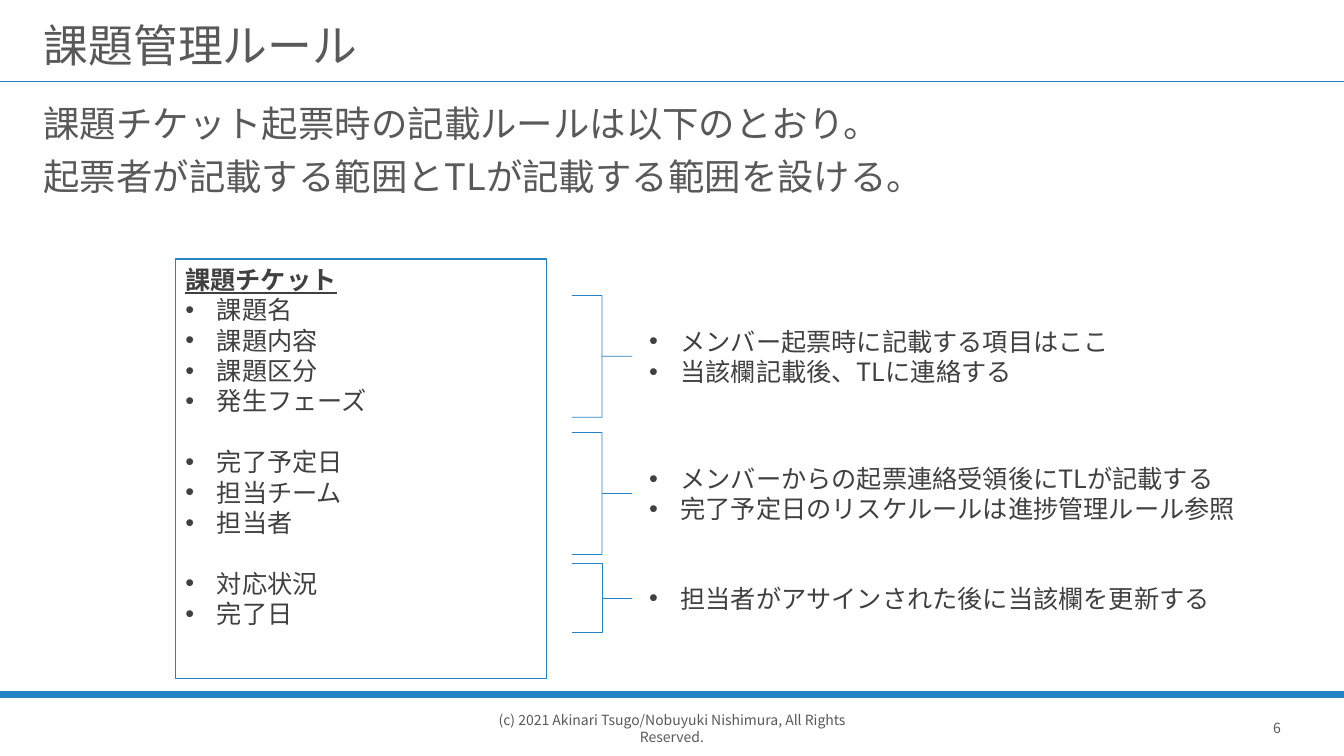
import dataclasses

import pptx
import pptx.dml.color
import pptx.enum.shapes
import pptx.enum.text
import pptx.oxml
import pptx.oxml.ns
import pptx.util

Pt = pptx.util.Pt
Align = pptx.enum.text.PP_ALIGN
Anchor = pptx.enum.text.MSO_ANCHOR
ShapeKind = pptx.enum.shapes.MSO_SHAPE


@dataclasses.dataclass(frozen=True)
class Theme:
    font: str = "Noto Sans CJK JP"
    blue: str = "2683C6"
    white: str = "FFFFFF"
    heading: str = "595959"
    text: str = "404040"
    title_size: float = 32
    lead_size: float = 26
    body_size: float = 18
    footer_size: float = 10
    lead_pitch: float = 28
    body_pitch: float = 21.7
    bullet_indent: float = 22.5


THEME = Theme()
WIDTH, HEIGHT = 960, 540
TICKET_GROUPS = [
    ["課題名", "課題内容", "課題区分", "発生フェーズ"],
    ["完了予定日", "担当チーム", "担当者"],
    ["対応状況", "完了日"],
]
# Top and height of each brace, with the notes beside it
RULES = [
    (211, 87, ["メンバー起票時に記載する項目はここ", "当該欄記載後、TLに連絡する"]),
    (309, 87, ["メンバーからの起票連絡受領後にTLが記載する",
               "完了予定日のリスケルールは進捗管理ルール参照"]),
    (402.5, 49.5, ["担当者がアサインされた後に当該欄を更新する"]),
]


def color(value):
    return pptx.dml.color.RGBColor.from_string(value)


def format_paragraph(paragraph, size, text_color, align=Align.LEFT, pitch=None):
    paragraph.alignment = align
    if pitch:
        paragraph.line_spacing = Pt(pitch)
    for run in paragraph.runs:
        run.font.size = Pt(size)
        run.font.name = THEME.font
        run.font.color.rgb = color(text_color)
        east_asian = pptx.oxml.parse_xml(
            f'<a:ea {pptx.oxml.ns.nsdecls("a")} typeface="{THEME.font}"/>')
        run.font._element.find(pptx.oxml.ns.qn("a:latin")).addnext(east_asian)


def add_bullet(paragraph):
    properties = paragraph._p.get_or_add_pPr()
    indent = Pt(THEME.bullet_indent)
    properties.set("marL", str(indent))
    properties.set("indent", str(-indent))
    namespace = pptx.oxml.ns.nsdecls("a")
    properties.append(pptx.oxml.parse_xml(f'<a:buFont {namespace} typeface="Arial"/>'))
    properties.append(pptx.oxml.parse_xml(f'<a:buChar {namespace} char="•"/>'))


def add_text(slide, box, lines, size, text_color, align=Align.LEFT,
             anchor=Anchor.TOP, pitch=None, wrap=True):
    shape = slide.shapes.add_textbox(*map(Pt, box))
    frame = shape.text_frame
    frame.word_wrap = wrap
    frame.vertical_anchor = anchor
    frame.text = "\n".join(lines)
    for paragraph in frame.paragraphs:
        format_paragraph(paragraph, size, text_color, align, pitch)
    return frame


def add_rule(slide, y, weight):
    line = slide.shapes.add_connector(
        pptx.enum.shapes.MSO_CONNECTOR.STRAIGHT, 0, Pt(y), Pt(WIDTH), Pt(y))
    line.line.color.rgb = color(THEME.blue)
    line.line.width = Pt(weight)
    line._element.spPr.append(
        pptx.oxml.parse_xml(f'<a:effectLst {pptx.oxml.ns.nsdecls("a")}/>'))


def add_header(slide, box):
    left, top, width, height = box
    title = slide.shapes.title
    title.left, title.top, title.width, title.height = map(Pt, box)
    frame = title.text_frame
    frame.auto_size = pptx.enum.text.MSO_AUTO_SIZE.NONE
    frame.vertical_anchor = Anchor.MIDDLE
    frame.margin_top = Pt(14.4)
    frame.text = "課題管理ルール"
    format_paragraph(frame.paragraphs[0], THEME.title_size, THEME.heading)
    frame.paragraphs[0].line_spacing = 0.9
    add_rule(slide, top + height + 4.3, 1)
    # Lead text under the rule
    lead = add_text(slide, (left, top + 67.7, width, 76),
                    ["課題チケット起票時の記載ルールは以下のとおり。",
                     "起票者が記載する範囲とTLが記載する範囲を設ける。"],
                    THEME.lead_size, THEME.heading, pitch=THEME.lead_pitch)
    lead.paragraphs[1].space_before = Pt(10)


def add_footer(slide, box):
    left, top, width, height = box
    add_rule(slide, top - 4.4, 4.5)
    copyright_text = "(c) 2021 Akinari Tsugo/Nobuyuki Nishimura, All Rights Reserved."
    for x, part_width, text in [(left + 332.7, 294.5, copyright_text),
                                (left + width - 71.5, 47.5, "6")]:
        add_text(slide, (x, top, part_width, height), [text], THEME.footer_size,
                 THEME.heading, Align.CENTER, Anchor.MIDDLE, wrap=False)


def add_ticket(slide, box):
    ticket = slide.shapes.add_shape(ShapeKind.RECTANGLE, *map(Pt, box))
    ticket.shadow.inherit = False
    ticket.fill.solid()
    ticket.fill.fore_color.rgb = color(THEME.white)
    ticket.line.color.rgb = color(THEME.blue)
    ticket.line.width = Pt(1)
    frame = ticket.text_frame
    frame.word_wrap = True
    frame.vertical_anchor = Anchor.TOP
    frame.text = "課題チケット"
    heading = frame.paragraphs[0]
    format_paragraph(heading, THEME.body_size, THEME.text, pitch=THEME.body_pitch)
    heading.runs[0].font.bold = True
    heading.runs[0].font.underline = True
    for group_index, group in enumerate(TICKET_GROUPS):
        for item_index, item in enumerate(group):
            paragraph = frame.add_paragraph()
            paragraph.text = item
            format_paragraph(paragraph, THEME.body_size, THEME.text,
                             pitch=THEME.body_pitch)
            if group_index and not item_index:
                paragraph.space_before = Pt(THEME.body_pitch)
            add_bullet(paragraph)


def add_brace_note(slide, box, notes):
    left, top, width, height = box
    brace_width, gap = 43, 5
    brace = slide.shapes.add_shape(
        ShapeKind.RIGHT_BRACE, Pt(left), Pt(top), Pt(brace_width), Pt(height))
    brace.adjustments[0] = 0
    brace.adjustments[1] = 0.5
    brace.shadow.inherit = False
    brace.fill.background()
    brace.line.color.rgb = color(THEME.blue)
    brace.line.width = Pt(0.5)
    # Notes centred on the brace tip
    note_height = len(notes) * THEME.body_pitch + 7.2
    note_left = left + brace_width + gap
    frame = add_text(
        slide, (note_left, top + (height - note_height) / 2,
                left + width - note_left, note_height),
        notes, THEME.body_size, THEME.text, anchor=Anchor.MIDDLE,
        pitch=THEME.body_pitch)
    for paragraph in frame.paragraphs:
        add_bullet(paragraph)


def build_ticket_slide(presentation):
    slide = presentation.slides.add_slide(presentation.slide_layouts[5])
    add_header(slide, (24, 4.3, 912, 49.7))
    add_ticket(slide, (125.3, 185, 265, 299.5))
    for top, height, notes in RULES:
        add_brace_note(slide, (408.5, top, 484.5, height), notes)
    add_footer(slide, (0, 500.5, WIDTH, 39.5))


def main():
    presentation = pptx.Presentation()
    presentation.slide_width = Pt(WIDTH)
    presentation.slide_height = Pt(HEIGHT)
    build_ticket_slide(presentation)
    presentation.save("out.pptx")


if __name__ == "__main__":
    main()
